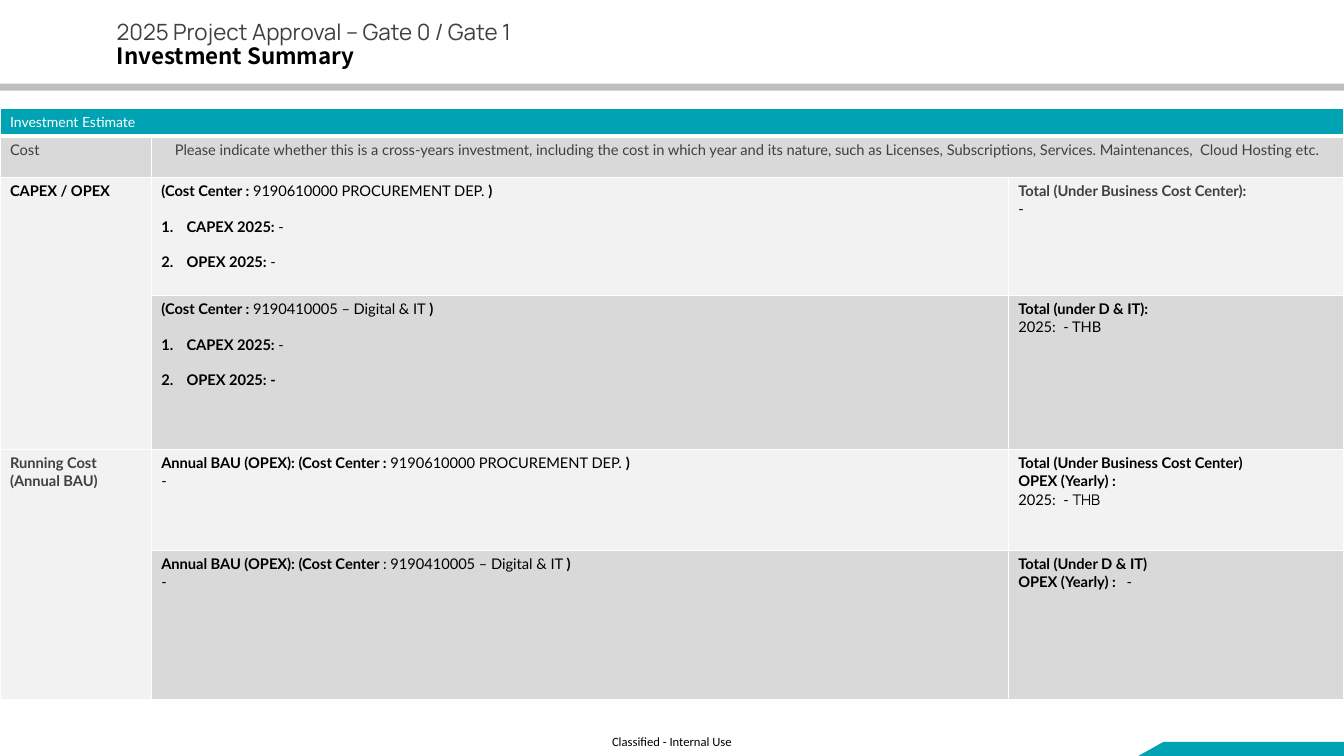
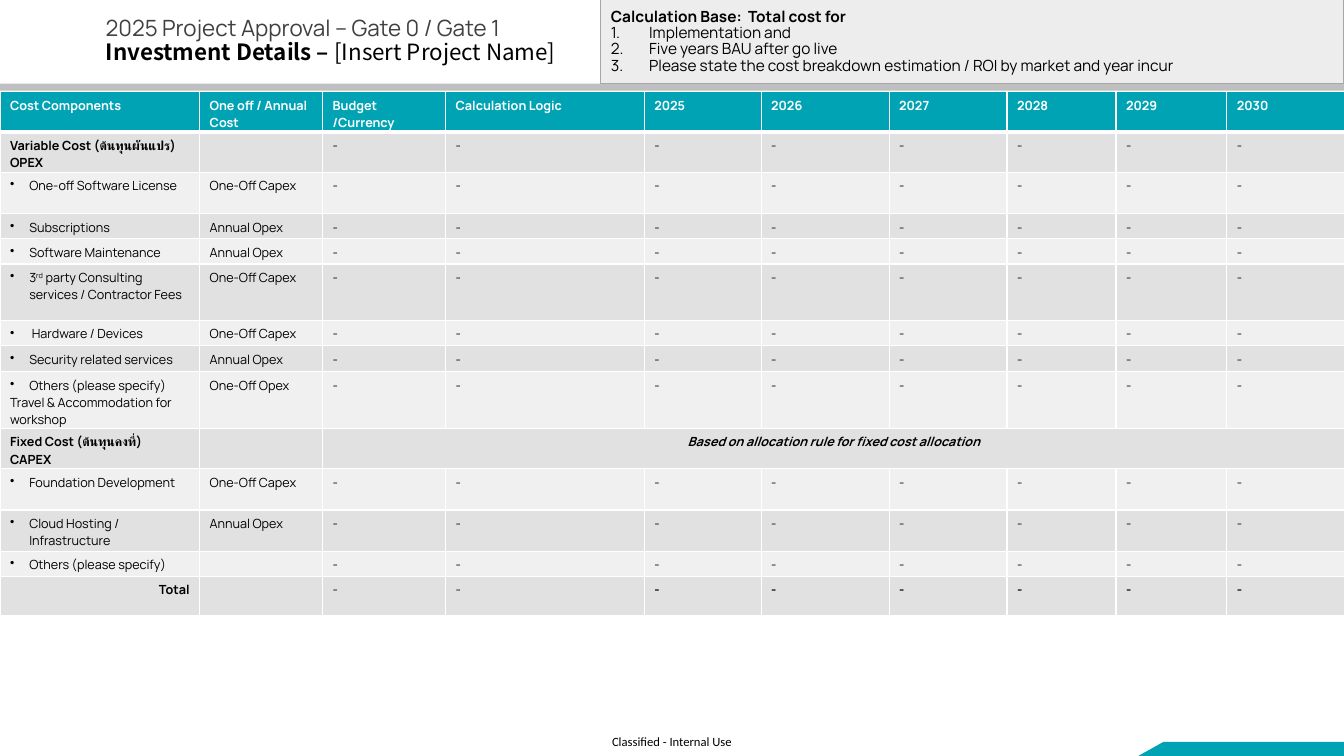
from dataclasses import dataclass

from lxml import etree
from pptx import Presentation
from pptx.dml.color import RGBColor
from pptx.enum.shapes import MSO_SHAPE
from pptx.enum.text import MSO_ANCHOR, PP_ALIGN
from pptx.oxml.ns import qn
from pptx.util import Inches, Pt

TEAL = RGBColor(0x00, 0xA3, 0xB4)
WHITE = RGBColor(0xFF, 0xFF, 0xFF)
BLACK = RGBColor(0x00, 0x00, 0x00)
INK = RGBColor(0x40, 0x40, 0x40)
BAND = RGBColor(0xBF, 0xBF, 0xBF)
EDGE = RGBColor(0xA6, 0xA6, 0xA6)
NOTE = RGBColor(0xED, 0xED, 0xED)
DARK = RGBColor(0xD9, 0xD9, 0xD9)
LIGHT = RGBColor(0xF2, 0xF2, 0xF2)
ODD = RGBColor(0xE1, 0xE1, 0xE1)
EVEN = RGBColor(0xF0, 0xF0, 0xF0)

LATO, MAN, NOTO, CALI = "Lato", "Manrope", "Noto Sans CJK SC", "Calibri"
LEFT, CENTER, RIGHT = PP_ALIGN.LEFT, PP_ALIGN.CENTER, PP_ALIGN.RIGHT
TOP, MIDDLE = MSO_ANCHOR.TOP, MSO_ANCHOR.MIDDLE
RECT = MSO_SHAPE.RECTANGLE
WIDE, HIGH = 13.33, 7.5

# Text marks: * bold, _ italic, ^ superscript, ~ Manrope
MARKS = "*_^~"


@dataclass
class Para:
    text: str
    bullet: str = ""
    ink: RGBColor = BLACK
    align: int = LEFT
    gap: float = 0
    font: str = ""


def cut(text):
    """Yield each run with the set of marks that apply to it."""
    on, word = set(), ""
    for sign in text:
        if sign not in MARKS:
            word += sign
            continue
        if word:
            yield word, set(on)
        on ^= {sign}
        word = ""
    if word:
        yield word, on


class Deck:
    def __init__(self):
        self.prs = Presentation()
        self.prs.slide_width = Inches(WIDE)
        self.prs.slide_height = Inches(HIGH)

    def start(self):
        """Add a slide with the shared band, corner and footer."""
        self.slide = self.prs.slides.add_slide(self.prs.slide_layouts[6])
        self.rect(0, 0.83, WIDE, 0.07, BAND)
        self.corner()
        foot = self.box(6.07, 7.28, 1.22, 0.15, [Para("Classified - Internal Use")],
                        9, CALI)
        foot.word_wrap = False
        foot.margin_left = foot.margin_right = 0
        foot.margin_top = foot.margin_bottom = 0

    def paint(self, shape, fill, line=None):
        shape.shadow.inherit = False
        shape.fill.solid()
        shape.fill.fore_color.rgb = fill
        if line is None:
            shape.line.fill.background()
        else:
            shape.line.color.rgb = line
            shape.line.width = Pt(0.75)

    def rect(self, x, y, w, h, fill, line=None):
        shape = self.slide.shapes.add_shape(
            RECT, Inches(x), Inches(y), Inches(w), Inches(h))
        self.paint(shape, fill, line)
        return shape.text_frame

    def corner(self):
        pen = self.slide.shapes.build_freeform(Inches(11.54), Inches(7.36))
        ends = [(WIDE, 7.36), (WIDE, HIGH), (11.29, HIGH)]
        pen.add_line_segments([(Inches(x), Inches(y)) for x, y in ends])
        self.paint(pen.convert_to_shape(), TEAL)

    def box(self, x, y, w, h, paras, size, font, anchor=TOP, pitch=None):
        frame = self.slide.shapes.add_textbox(
            Inches(x), Inches(y), Inches(w), Inches(h)).text_frame
        frame.word_wrap = True
        frame.vertical_anchor = anchor
        self.text(frame, paras, size, font, pitch=pitch)
        return frame

    def title(self, x, y, w, h, text):
        lines = [Para("2025 Project Approval – Gate 0 / Gate 1", ink=INK, font=MAN),
                 Para(text)]
        self.box(x, y, w, h, lines, 16, NOTO, MIDDLE, 0.9)

    def text(self, frame, paras, size, font, indent=0.25, pitch=None):
        for i, para in enumerate(paras):
            if isinstance(para, str):
                para = Para(para)
            line = frame.paragraphs[0] if i == 0 else frame.add_paragraph()
            line.alignment = para.align
            line.space_before = Pt(para.gap)
            if pitch:
                line.line_spacing = pitch
            if para.bullet:
                self.bullet(line, para.bullet, indent)
            for text, marks in cut(para.text):
                run = line.add_run()
                run.text = text
                run.font.size = Pt(size)
                run.font.name = MAN if "~" in marks else para.font or font
                run.font.color.rgb = para.ink
                run.font.bold = "*" in marks
                run.font.italic = "_" in marks
                if "^" in marks:
                    run.font._element.set("baseline", "30000")
            if not para.text:
                etree.SubElement(line._p, qn("a:endParaRPr"), sz=str(int(size * 100)))

    def bullet(self, line, kind, indent):
        props = line._p.get_or_add_pPr()
        props.set("marL", str(Inches(indent)))
        props.set("indent", str(-Inches(indent)))
        if kind == "1.":
            etree.SubElement(props, qn("a:buAutoNum"), type="arabicPeriod")
        else:
            etree.SubElement(props, qn("a:buChar"), char=kind)

    def table(self, y, cols, rows):
        shape = self.slide.shapes.add_table(
            len(rows), len(cols), 0, Inches(y), Inches(WIDE), Inches(sum(rows)))
        grid = shape.table
        grid.first_row = grid.horz_banding = False
        for col, width in zip(grid.columns, cols):
            col.width = Inches(width)
        for row, height in zip(grid.rows, rows):
            row.height = Inches(height)
        return grid

    def cell(self, grid, row, col, paras, fill, size, font, span=(1, 1), indent=0.25):
        cell = grid.cell(row, col)
        if span != (1, 1):
            cell.merge(grid.cell(row + span[0] - 1, col + span[1] - 1))
        cell.margin_bottom = 0
        self.text(cell.text_frame, paras, size, font, indent)
        # Borders come before the fill in the cell properties
        props = cell._tc.get_or_add_tcPr()
        thick = {0: "lnB", 1: "lnT"}.get(row)
        for side in ("lnL", "lnR", "lnT", "lnB"):
            width = Pt(3 if side == thick else 1)
            edge = etree.SubElement(props, qn("a:" + side), w=str(width))
            paint = etree.SubElement(edge, qn("a:solidFill"))
            etree.SubElement(paint, qn("a:srgbClr"), val=str(WHITE))
        cell.fill.solid()
        cell.fill.fore_color.rgb = fill


def costs(center, capex, opex):
    return [f"*(Cost Center : *{center} *)*",
            Para(capex, "1.", gap=12.6), Para(opex, "1.", gap=12.6)]


def summary(deck):
    deck.start()
    deck.title(1.06, 0, 12.07, 0.9, "*Investment Summary*")
    grid = deck.table(1.08, [1.5, 8.5, 3.33], [0.27, 0.41, 1.17, 1.53, 1, 1.48])
    buyer, tech = "9190610000 PROCUREMENT DEP.", "9190410005 – Digital & IT"
    hint = ("Please indicate whether this is a cross-years investment, including the "
            "cost in which year and its nature, such as Licenses, Subscriptions, "
            "Services. Maintenances,  Cloud Hosting etc.")

    # Header
    deck.cell(grid, 0, 0, [Para("Investment Estimate", ink=WHITE)], TEAL, 10, LATO, (1, 3))

    # Row, column, paragraphs, fill, span
    cells = [
        (1, 0, [Para("Cost", ink=INK)], DARK, (1, 1)),
        (1, 1, [Para(hint, ink=INK, align=CENTER)], DARK, (1, 2)),
        (2, 0, ["*CAPEX / OPEX*"], LIGHT, (2, 1)),
        (2, 1, costs(buyer, "*CAPEX 2025: *-", "*OPEX 2025: *-"), LIGHT, (1, 1)),
        (2, 2, [Para("*Total (Under Business Cost Center):*", ink=INK), "-"],
         LIGHT, (1, 1)),
        (3, 1, costs(tech, "*CAPEX 2025: *-", "*OPEX 2025: -*"), DARK, (1, 1)),
        (3, 2, ["*Total (under D & IT):*", "2025:  - THB"], DARK, (1, 1)),
        (4, 0, [Para("*Running Cost (Annual BAU)*", ink=INK)], LIGHT, (2, 1)),
        (4, 1, [f"*Annual BAU (OPEX): (Cost Center : *{buyer} *)*", "-"],
         LIGHT, (1, 1)),
        (4, 2, ["*Total (Under Business Cost Center)*", "*OPEX (Yearly) :*",
                "2025:  - ~THB~"], LIGHT, (1, 1)),
        (5, 1, [f"*Annual BAU (OPEX): (Cost Center *: {tech} *)*", "-"],
         DARK, (1, 1)),
        (5, 2, ["*Total (Under D & IT)*", "*OPEX (Yearly) :   *-"], DARK, (1, 1)),
    ]
    for row, col, paras, fill, span in cells:
        deck.cell(grid, row, col, paras, fill, 10.5, LATO, span)


def details(deck):
    deck.start()
    deck.title(0.95, 0, 5.01, 0.82, "*Investment Details – *[Insert Project Name]")

    # Calculation base
    steps = ["Implementation and", "Five years BAU after go live",
             "Please state the cost breakdown estimation / ROI by market and year incur"]
    base = deck.rect(5.96, 0, 7.37, 0.83, NOTE, EDGE)
    base.word_wrap = True
    base.vertical_anchor = MIDDLE
    base.margin_top = base.margin_bottom = 0
    deck.text(base, ["*Calculation Base:  Total cost for*"]
              + [Para(step, "1.") for step in steps], 11, MAN, 0.38, 0.89)

    # Cost table
    heads = ["Cost Components", "One off / Annual Cost", "Budget /Currency",
             "Calculation Logic"] + [str(year) for year in range(2025, 2031)]
    once, yearly = "One-Off Capex", "Annual Opex"
    # Height, first cell, cost type
    items = [
        (0.4, ["*Variable Cost (ต้นทุนผันแปร)*", "*OPEX*"], ""),
        (0.41, [Para("One-off Software License", "•")], once),
        (0.25, [Para("Subscriptions", "•")], yearly),
        (0.25, [Para("Software Maintenance", "•")], yearly),
        (0.56, [Para("3^rd^ party Consulting services / Contractor Fees", "•")], once),
        (0.25, [Para(" Hardware / Devices", "•")], once),
        (0.26, [Para("Security related services", "•")], yearly),
        (0.56, [Para("Others (please specify)", "•"),
                "Travel & Accommodation for workshop"], "One-Off Opex"),
        (0.4, ["*Fixed Cost (ต้นทุนคงที่)*", "*CAPEX*"], ""),
        (0.41, [Para("Foundation Development", "•")], once),
        (0.41, [Para("Cloud Hosting / Infrastructure", "•")], yearly),
        (0.25, [Para("Others (please specify)", "•")], ""),
        (0.39, [Para("*Total*", align=RIGHT)], ""),
    ]
    fixed, total = 9, len(items)
    rule = Para("*_Based on allocation rule for fixed cost allocation_*", align=CENTER)
    grid = deck.table(0.91, [1.98, 1.22, 1.22, 1.97, 1.16, 1.27, 1.17, 1.08, 1.1, 1.17],
                      [0.4] + [item[0] for item in items])
    for col, head in enumerate(heads):
        deck.cell(grid, 0, col, [Para(f"*{head}*", ink=WHITE)], TEAL, 9, MAN)
    for row, (_, name, kind) in enumerate(items, 1):
        fill = ODD if row % 2 else EVEN
        deck.cell(grid, row, 0, name, fill, 9, MAN, indent=0.19)
        deck.cell(grid, row, 1, [kind], fill, 9, MAN)
        if row == fixed:
            deck.cell(grid, row, 2, [rule], fill, 9, MAN, (1, 8))
            continue
        for col in range(2, len(heads)):
            dash = "*-*" if row == total and col > 3 else "-"
            deck.cell(grid, row, col, [dash], fill, 9, MAN)


def main():
    deck = Deck()
    summary(deck)
    details(deck)
    deck.prs.save("out.pptx")


if __name__ == "__main__":
    main()
